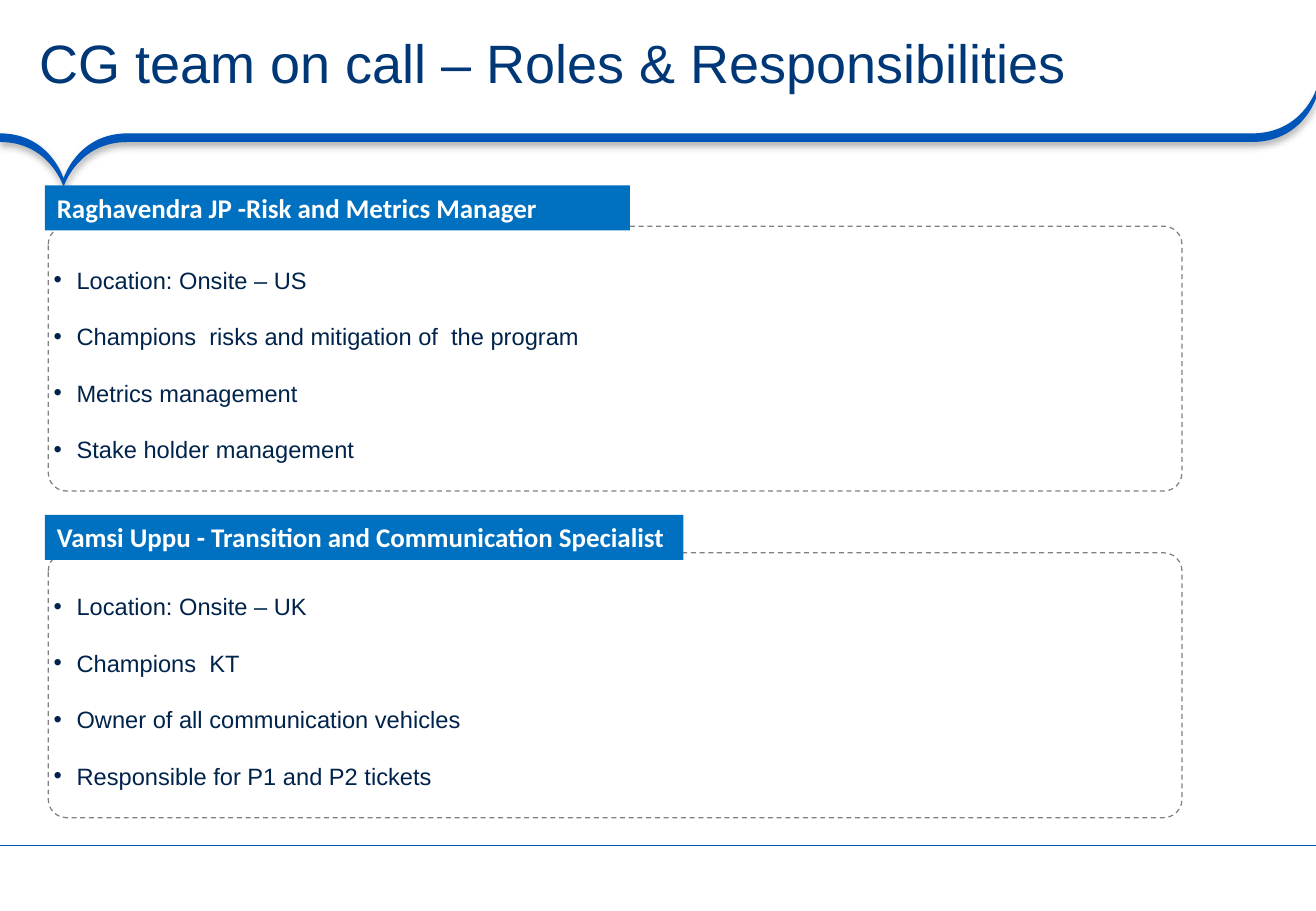
"""Build the slide on roles and responsibilities of the on-call team."""
from dataclasses import dataclass

from lxml import etree
from pptx import Presentation
from pptx.dml.color import RGBColor
from pptx.enum.dml import MSO_LINE
from pptx.enum.shapes import MSO_CONNECTOR, MSO_SHAPE
from pptx.enum.text import MSO_ANCHOR, PP_ALIGN
from pptx.oxml import parse_xml
from pptx.oxml.ns import nsdecls, qn
from pptx.util import Cm, Pt


@dataclass(frozen=True)
class Theme:
    band: RGBColor = RGBColor(0x00, 0x56, 0xB8)
    title: RGBColor = RGBColor(0x00, 0x37, 0x76)
    label: RGBColor = RGBColor(0x00, 0x70, 0xC0)
    body: RGBColor = RGBColor(0x00, 0x23, 0x4B)
    border: RGBColor = RGBColor(0x80, 0x80, 0x80)
    white: RGBColor = RGBColor(0xFF, 0xFF, 0xFF)
    body_font: str = "Arial"
    label_font: str = "Calibri"
    title_size: int = 32
    label_size: int = 16
    body_size: int = 14


def style_runs(paragraph, font_name, size, color, bold=False):
    """Format every run of a paragraph."""
    for run in paragraph.runs:
        run.font.name = font_name
        run.font.size = Pt(size)
        run.font.color.rgb = color
        run.font.bold = bold


theme = Theme()
presentation = Presentation()
presentation.slide_width = Cm(27.51)
presentation.slide_height = Cm(19.05)
slide = presentation.slides.add_slide(presentation.slide_layouts[6])

band_thickness = 0.18
band_start, pointer_tip, pointer_end = (0, 2.79), (1.33, 3.73), (2.67, 2.79)
corner_start, corner_end = (26.17, 2.79), (27.51, 1.88)
upper_edge = [
    band_start,
    (1.04, 2.79), pointer_tip, pointer_tip,
    pointer_tip, (1.62, 2.79), pointer_end,
    pointer_end, corner_start, corner_start,
    (27.22, 2.79), corner_end, corner_end,
]
lower_edge = [(x, y + band_thickness) for x, y in reversed(upper_edge)]
right_side = [upper_edge[-1], lower_edge[0]]
left_side = [lower_edge[-1], band_start, band_start]
outline = [
    (Cm(x), Cm(y)) for x, y in upper_edge + right_side + lower_edge + left_side
]

builder = slide.shapes.build_freeform(*outline[0])
builder.add_line_segments(outline[1:], close=True)
band = builder.convert_to_shape()
segments = list(band.element.iter(qn("a:lnTo")))
for first in range(0, len(segments), 3):
    curve = etree.Element(qn("a:cubicBezTo"))
    segments[first].addprevious(curve)
    for segment in segments[first:first + 3]:
        curve.append(segment[0])
        segment.getparent().remove(segment)
band.fill.solid()
band.fill.fore_color.rgb = theme.band
band.line.fill.background()
band.shadow.inherit = False
band.element.spPr.find(qn("a:effectLst")).append(parse_xml(
    f'<a:outerShdw {nsdecls("a")} blurRad="{Pt(4)}" dist="{Pt(2)}" dir="5400000" '
    'algn="t" rotWithShape="0"><a:srgbClr val="000000"><a:alpha val="31000"/>'
    "</a:srgbClr></a:outerShdw>"
))

footer_line = slide.shapes.add_connector(
    MSO_CONNECTOR.STRAIGHT, Cm(27.51), Cm(17.68), Cm(0), Cm(17.68)
)
footer_line.line.color.rgb = theme.band
footer_line.line.width = Pt(0.75)
etree.SubElement(footer_line.element.spPr, qn("a:effectLst"))

title = slide.shapes.add_textbox(Cm(0), Cm(0), Cm(27.51), Cm(2.79))
title_frame = title.text_frame
title_frame.word_wrap = True
title_frame.vertical_anchor = MSO_ANCHOR.MIDDLE
title_frame.margin_left, title_frame.margin_right = Cm(0.83), Cm(0.46)
title_frame.margin_top = title_frame.margin_bottom = Cm(0.1)
title_frame.text = "CG team on call – Roles & Responsibilities"
title_frame.paragraphs[0].line_spacing = 0.85
style_runs(title_frame.paragraphs[0], theme.body_font, theme.title_size, theme.title)

roles = [
    (4.73, 3.88, 12.23, "Raghavendra JP -Risk and Metrics Manager", [
        "Location: Onsite – US",
        "Champions  risks and mitigation of  the program",
        "Metrics management",
        "Stake holder management",
    ]),
    (11.56, 10.77, 13.35, "Vamsi Uppu - Transition and Communication Specialist", [
        "Location: Onsite – UK",
        "Champions  KT",
        "Owner of all communication vehicles",
        "Responsible for P1 and P2 tickets",
    ]),
]

for panel_top, label_top, label_width, heading, duties in roles:
    panel = slide.shapes.add_shape(
        MSO_SHAPE.ROUNDED_RECTANGLE, Cm(1.01), Cm(panel_top), Cm(23.7), Cm(5.54)
    )
    panel.adjustments[0] = 0.069
    panel.line.color.rgb = theme.border
    panel.line.width = Pt(0.75)
    panel.line.dash_style = MSO_LINE.DASH
    label = slide.shapes.add_shape(
        MSO_SHAPE.RECTANGLE, Cm(0.94), Cm(label_top), Cm(label_width), Cm(0.94)
    )
    label.line.fill.background()
    for shape, color in ((panel, theme.white), (label, theme.label)):
        shape.shadow.inherit = False
        shape.fill.solid()
        shape.fill.fore_color.rgb = color
        shape.text_frame.vertical_anchor = MSO_ANCHOR.TOP

    panel_frame = panel.text_frame
    panel_frame.margin_left, panel_frame.margin_top = Cm(0), Cm(0.71)
    panel_frame.text = "\n".join(duties)
    for index, paragraph in enumerate(panel_frame.paragraphs):
        paragraph.alignment = PP_ALIGN.LEFT
        if index:
            paragraph.space_before = Pt(16.7)
        properties = paragraph._p.get_or_add_pPr()
        properties.set("marL", str(Cm(0.48)))
        properties.set("indent", str(-Cm(0.48)))
        etree.SubElement(properties, qn("a:buFont")).set("typeface", theme.body_font)
        etree.SubElement(properties, qn("a:buChar")).set("char", "•")
        style_runs(paragraph, theme.body_font, theme.body_size, theme.body)

    label.text_frame.text = heading
    label_paragraph = label.text_frame.paragraphs[0]
    label_paragraph.alignment = PP_ALIGN.LEFT
    style_runs(label_paragraph, theme.label_font, theme.label_size, theme.white, bold=True)

presentation.save("out.pptx")
